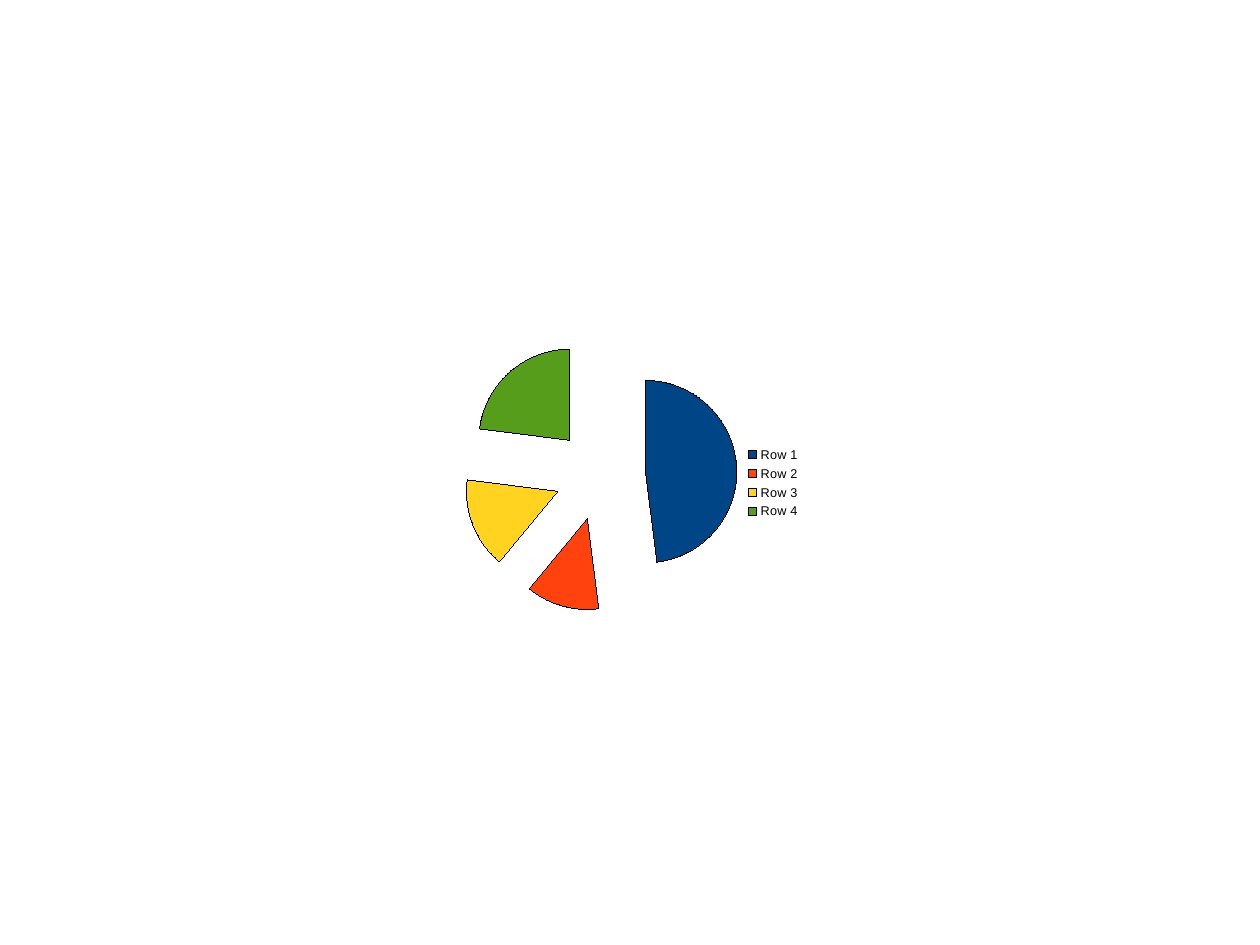
from lxml.etree import SubElement
from pptx import Presentation
from pptx.chart.data import CategoryChartData as ChartData
from pptx.dml.color import RGBColor
from pptx.enum.chart import XL_CHART_TYPE as ChartType, XL_LEGEND_POSITION as LegendPosition
from pptx.oxml import parse_xml
from pptx.oxml.ns import nsdecls, qn
from pptx.util import Pt

ROWS = ["Row 1", "Row 2", "Row 3", "Row 4"]
ROW_COLOURS = ["004586", "FF420E", "FFD320", "579D1C"]
SERIES = {
    "Series 1": [48, 13, 16, 23],
    "Series 2": [14, 39, 7, 40],
    "Series 3": [19, 40, 15, 26],
}


def colour(hex_string):
    return RGBColor.from_string(hex_string)


def format_font(font, size, hex_string="000000", name="Arial"):
    font.size = Pt(size)
    font.name = name
    font.color.rgb = colour(hex_string)


def outline(line, hex_string="000000", width=0):
    line.color.rgb = colour(hex_string)
    line.width = Pt(width)


def chart_data(series):
    data = ChartData()
    data.categories = ROWS
    for name, values in series.items():
        data.add_series(name, values)
    return data


def place(part, index, target=None, **fractions):
    """Place a chart part by fractions (x, y, w, h) of the chart."""
    for old_layout in part.findall(qn("c:layout")):
        part.remove(old_layout)
    layout = parse_xml(f"<c:layout {nsdecls('c')}/>")
    manual = SubElement(layout, qn("c:manualLayout"))
    if target:
        SubElement(manual, qn("c:layoutTarget")).set("val", target)
    for side in "xy":
        SubElement(manual, qn(f"c:{side}Mode")).set("val", "edge")
    for side, fraction in fractions.items():
        SubElement(manual, qn(f"c:{side}")).set("val", str(fraction))
    part.insert(index, layout)


def explode(series, percent):
    explosion = parse_xml(f'<c:explosion {nsdecls("c")} val="{percent}"/>')
    series._element.find(qn("c:spPr")).addnext(explosion)


def add_pie(page, left, top, width, height):
    frame = page.shapes.add_chart(ChartType.PIE, Pt(left), Pt(top), Pt(width), Pt(height),
                                  chart_data(SERIES))
    chart = frame.chart
    # A new pie holds one series; replacing the data brings in the rest
    chart.replace_data(chart_data(SERIES))
    chart.has_title = False
    format_font(chart.font, 10)
    place(chart._chartSpace.chart.plotArea, 0, "outer", x=0.02, y=0.02, w=0.76, h=0.94)

    # Slices
    plot = chart.plots[0]
    plot.vary_by_categories = True
    for series in plot.series:
        outline(series.format.line)
        for index, hex_string in enumerate(ROW_COLOURS):
            point = series.points[index].format
            point.fill.solid()
            point.fill.fore_color.rgb = colour(hex_string)
            outline(point.line)
    explode(plot.series[0], 50)

    # Legend
    chart.has_legend = True
    legend = chart.legend
    legend.position = LegendPosition.RIGHT
    legend.include_in_layout = False
    format_font(legend.font, 8)
    place(legend._element, 1, x=0.8, y=0.39)


def main():
    deck = Presentation()
    deck.slide_width = Pt(793.7)
    deck.slide_height = Pt(595.28)
    page = deck.slides.add_slide(deck.slide_layouts[6])
    add_pie(page, left=287.3, top=201.6, width=226.8, height=198.7)
    deck.save("out.pptx")


if __name__ == "__main__":
    main()
